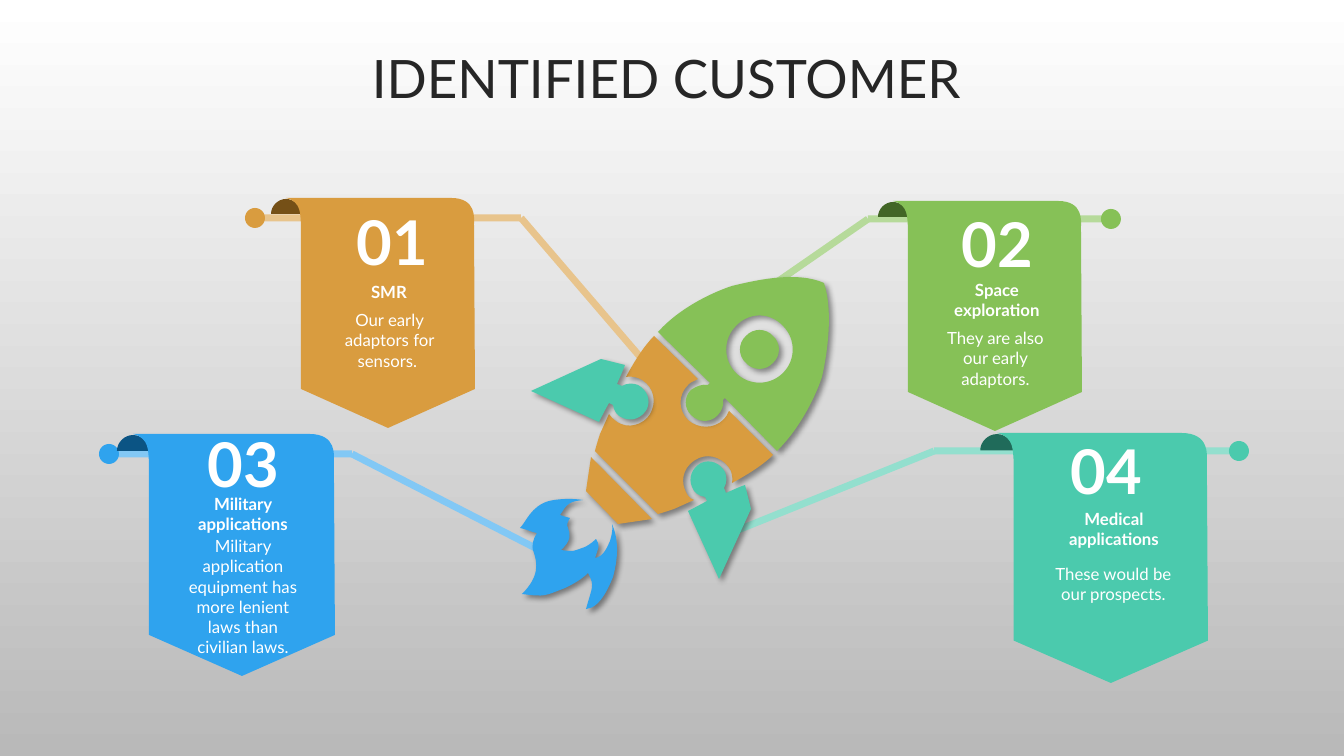
from itertools import pairwise
from math import atan2, cos, degrees, hypot, radians, sin

from lxml.etree import SubElement
from pptx import Presentation
from pptx.dml.color import RGBColor as RGB
from pptx.enum.shapes import MSO_SHAPE as SHAPE
from pptx.enum.text import MSO_ANCHOR as ANCHOR, PP_ALIGN as ALIGN
from pptx.oxml.ns import qn
from pptx.util import Pt

PX = 914400 / 100.8
FONT = "Lato"
ROD = 7
DOT = 20
FIN_MIRROR = 360

COLORS = {
    "white": "FFFFFF", "gray": "B9B9B9", "ink": "262626", "black": "000000",
    "orange": "D99C3F", "orange_rod": "E8C48C", "orange_fold": "755017",
    "green": "86C157", "green_rod": "B6DA9A", "green_fold": "426626",
    "blue": "2FA3EE", "blue_rod": "82C8F5", "blue_fold": "0B5484",
    "teal": "4BCAAD", "teal_rod": "93DFCE", "teal_fold": "206B5A",
}

BANNER_SIZE = (189, 230)
BANNER = ("0,0; 165,0; 191,0 188,21 188,26; 189,191; 102,230; 15,191; 15,26; "
          "14,17 16,4 0,0")
FOLD = "15,16; -15,16; -15,8 -8,1 0,1; 8,1 15,8 15,16"

ROCKET_BOX = (500, 250, 350, 370)
BODY = (
    "91,207; 152,269; 118,274; 86,241 / "
    "154,86; 198,129; 195,131 190,132 188,135; 178,145 178,160 188,170; "
    "198,179 214,179 223,170; 226,167 228,164 229,161; 273,205; "
    "264,214 249,224 232,233; 233,229 232,225 231,221; 225,209 211,203 199,208; "
    "185,214 180,228 185,240; 187,245 189,248 194,250; 174,259; "
    "168,261 162,263 158,264; 95,201; 96,197 98,190 100,184; 109,164; "
    "112,168 116,172 121,174; 133,179 148,172 152,160; 157,147 151,133 138,128; "
    "134,127 130,126 126,127; 135,110 145,95 154,86")
FLAME = (
    "112,274; 118,288 119,305 113,327; 110,334 101,358 86,359; "
    "92,337 95,336 88,323; 80,331 69,336 65,338; 44,346 46,347 22,344; "
    "40,326 37,313 34,303; 31,296 33,289 37,283; 31,282 26,279 20,278; "
    "26,272 31,256 49,251; 57,249 71,248 83,250; 76,251; 65,253 63,262 60,265; "
    "63,266 66,267 70,268; 68,271 66,275 68,278; 70,284 72,290 61,300; "
    "75,302 73,301 85,297; 87,296 92,293 96,289; 100,296 99,296 95,308; "
    "104,307 108,295 110,291; 112,284 113,279 112,274")
NOSE = (
    "273,86; 281,93 281,106 273,113; 266,121 253,121 246,113; "
    "238,106 238,93 246,86; 253,78 266,78 273,86 / "
    "283,76; 270,62 249,62 236,76; 223,89 223,110 236,123; "
    "249,136 270,136 283,123; 296,110 296,89 283,76 / "
    "324,33; 333,60 328,101 322,127; 314,151 298,180 278,200; 277,201; 225,148; "
    "223,150; 224,155 222,161 218,165; 211,173 199,173 191,165; "
    "184,158 184,147 191,140; 197,136 202,134 208,135; 210,133; 158,82; 159,81; "
    "178,60 208,44 232,36; 257,30 297,21 324,33")
FIN = (
    "31,141; 99,172; 102,166 105,160 109,153; 113,155; 114,161 117,166 123,168; "
    "132,172 142,168 147,159; 151,150 147,140 138,135; 133,133 127,133 122,136; "
    "117,134; 120,127 123,121 125,115; 101,109")

CUSTOMERS = [
    dict(color="teal", box=(997, 433, 211, 250),
         route=[(1239, 451), (934, 451), (733, 532)],
         number=("04", (60, -5, 99, 85)),
         heading=("Medical applications", (51, 71, 132, 50)),
         detail=("These would be our prospects.", (39, 126, 155, 50))),
    dict(color="blue", box=(133, 434, 202, 242),
         route=[(109, 454), (352, 454), (543, 552)],
         number=("03", (61, -13, 99, 85)),
         heading=("Military applications", (27, 55, 166, 50)),
         detail=("Military application equipment has more lenient laws than "
                 "civilian laws.", (38, 97, 144, 132))),
    dict(color="orange", box=(286, 198, 189, 230),
         route=[(255, 218), (521, 218), (648, 366)],
         number=("01", (57, 1, 99, 85)),
         heading=("SMR", (37, 79, 132, 30)),
         detail=("Our early adaptors for sensors.\u00a0", (37, 107, 133, 72))),
    dict(color="green", box=(893, 201, 189, 230),
         route=[(1111, 219), (868, 219), (719, 322)],
         number=("02", (55, 0, 99, 85)),
         heading=("Space exploration", (38, 74, 132, 50)),
         detail=("They are also our early adaptors.", (36, 122, 133, 72))),
]


def emu(*lengths):
    return [round(length * PX) for length in lengths]


def rgb(name):
    return RGB.from_string(COLORS[name])


def paint(sp, color):
    sp.fill.solid()
    sp.fill.fore_color.rgb = rgb(color)
    sp.line.fill.background()
    sp.shadow.inherit = False
    return sp


def add_solid(s, kind, box, color):
    return paint(s.shapes.add_shape(kind, *emu(*box)), color)


def turn(x, y, angle):
    c, d = cos(radians(angle)), sin(radians(angle))
    return x * c - y * d, x * d + y * c


def bend_curves(sp, counts):
    edges = list(sp._element.spPr.iter(qn("a:lnTo")))
    for count in counts:
        edge, *rest = edges[:count]
        del edges[:count]
        if rest:
            edge.tag = qn("a:cubicBezTo")
        for other in rest:
            edge.append(other[0])
            other.getparent().remove(other)


def add_outline(s, box, size, outline, color, angle=0, mirror=False):
    left, top, width, height = box
    builder, counts = None, []
    for contour in outline.split("/"):
        segments = [segment.split() for segment in contour.split(";")]
        counts += [len(segment) for segment in segments[1:]]
        points = [tuple(map(int, pair.split(",")))
                  for segment in segments for pair in segment]
        if mirror:
            points = [(FIN_MIRROR - y, FIN_MIRROR - x) for x, y in points]
        points = [emu(*turn(left + x * width / size[0], top + y * height / size[1],
                            -angle)) for x, y in points]
        if builder is None:
            builder = s.shapes.build_freeform(*points[0], scale=1.0)
        else:
            builder.move_to(*points[0])
        builder.add_line_segments(points[1:], close=True)
    sp = builder.convert_to_shape()
    bend_curves(sp, counts)
    x, y = turn(sp.left + sp.width / 2, sp.top + sp.height / 2, angle)
    sp.left, sp.top = round(x - sp.width / 2), round(y - sp.height / 2)
    sp.rotation = angle
    return paint(sp, color)


def add_shadow(sp):
    effects = sp._element.spPr.find(qn("a:effectLst"))
    shadow = SubElement(effects, qn("a:outerShdw"), blurRad=str(Pt(4)),
                        dist=str(Pt(3)), dir="2700000", algn="tl", rotWithShape="0")
    tint = SubElement(shadow, qn("a:srgbClr"), val=COLORS["black"])
    SubElement(tint, qn("a:alpha"), val="40000")


def add_text(s, box, text, size, color="white", bold=False):
    tf = s.shapes.add_textbox(*emu(*box)).text_frame
    tf.word_wrap = True
    p = tf.paragraphs[0]
    p.text = text
    p.alignment = ALIGN.CENTER
    p.font.name, p.font.size, p.font.bold = FONT, Pt(size), bold
    p.font.color.rgb = rgb(color)
    return tf


def add_title(s, box):
    tf = add_text(s, box, "IDENTIFIED CUSTOMER\u00a0", 37.8, "ink")
    tf.vertical_anchor = ANCHOR.MIDDLE
    tf.paragraphs[0].space_before = Pt(10)


def add_banner(s, box, color, route):
    for (x1, y1), (x2, y2) in pairwise(route):
        length = hypot(x2 - x1, y2 - y1)
        rod = add_solid(s, SHAPE.RECTANGLE,
                        ((x1 + x2 - length) / 2, (y1 + y2 - ROD) / 2, length, ROD),
                        color + "_rod")
        rod.rotation = degrees(atan2(y2 - y1, x2 - x1)) % 180
    x, y = route[0]
    add_solid(s, SHAPE.OVAL, (x - DOT / 2, y - DOT / 2, DOT, DOT), color)
    add_outline(s, box, BANNER_SIZE, FOLD, color + "_fold", angle=90)
    add_outline(s, box, BANNER_SIZE, BANNER, color)


def add_labels(s, box, number, heading, detail):
    for (text, (x, y, w, h)), size, bold in ((number, 44, True), (detail, 12, False),
                                             (heading, 12, True)):
        add_text(s, (box[0] + x, box[1] + y, w, h), text, size, bold=bold)


def add_rocket(s, box):
    for outline, color, mirror in ((BODY, "orange", False), (FLAME, "blue", False),
                                   (NOSE, "green", False), (FIN, "teal", True),
                                   (FIN, "teal", False)):
        add_shadow(add_outline(s, box, ROCKET_BOX[2:], outline, color, 45, mirror))


def add_background(s):
    fill = s.background.fill
    fill.gradient()
    fill.gradient_angle = 270
    for stop, color in zip(fill.gradient_stops, ("white", "gray")):
        stop.color.rgb = rgb(color)


prs = Presentation()
prs.slide_width, prs.slide_height = emu(1344, 756)
s = prs.slides.add_slide(prs.slide_layouts[6])
add_background(s)
add_title(s, (35, 37, 1276, 80))
for c in CUSTOMERS:
    add_banner(s, c["box"], c["color"], c["route"])
add_rocket(s, ROCKET_BOX)
for c in CUSTOMERS:
    add_labels(s, c["box"], c["number"], c["heading"], c["detail"])
prs.save("out.pptx")
